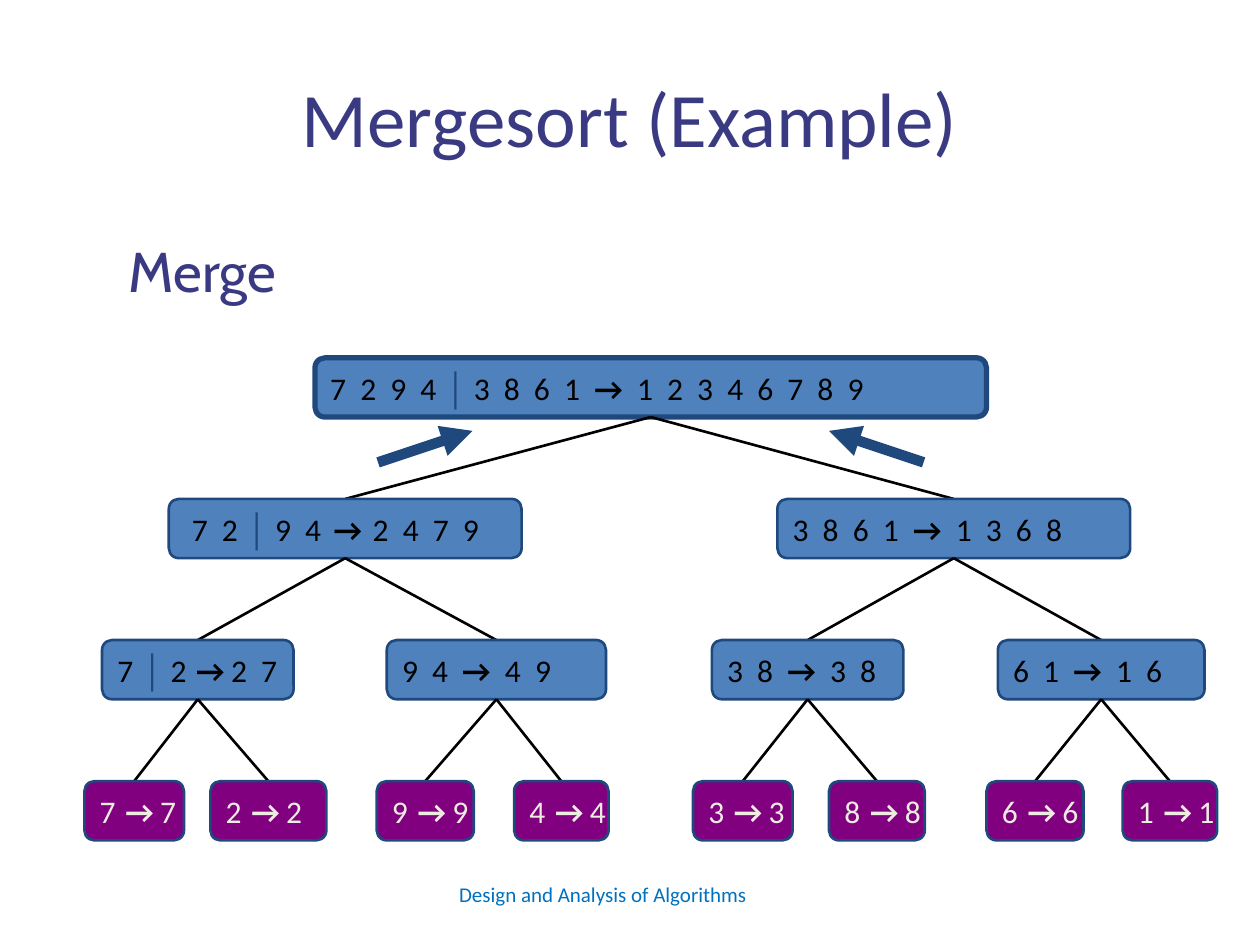
from itertools import groupby

from lxml import etree
from pptx import Presentation
from pptx.dml.color import RGBColor
from pptx.enum import shapes, text
from pptx.oxml.ns import qn
from pptx.util import Inches, Pt

NAVY, BLUE, EDGE, PURPLE = "3A3A82", "4F81BD", "1F497D", "800080"
BLACK, CREAM, SKY = "000000", "EEECE1", "0070C0"
HIGH, STEP = 0.47, 1.12
TIGHT, MID, WIDE = -0.5, 1, 2  # letter spacing around an arrow, in points

# Each node: words, left, width, spacing around the arrow
LEVELS = [
    [("7 2 9 4 │ 3 8 6 1 → 1 2 3 4 6 7 8 9", 2.5, 5.33, WIDE)],
    [("7 2 │ 9 4 → 2 4 7 9", 1.34, 2.8, MID),
     ("3 8 6 1 → 1 3 6 8", 6.17, 2.8, WIDE)],
    [("7 │ 2 → 2 7", 0.81, 1.52, TIGHT), ("9 4 → 4 9", 3.07, 1.74, WIDE),
     ("3 8 → 3 8", 5.65, 1.52, WIDE), ("6 1 → 1 6", 7.92, 1.64, WIDE)],
    [(f"{num} → {num}", left, wide, TIGHT) for num, left, wide in (
        (7, 0.67, 0.79), (2, 1.67, 0.92), (9, 2.99, 0.77), (4, 4.08, 0.75),
        (3, 5.5, 0.79), (8, 6.58, 0.76), (6, 7.83, 0.77), (1, 8.91, 0.75))],
]


def color(code):
    return RGBColor.from_string(code)


def style(font, size, code, name="Calibri"):
    font.size, font.name = Pt(size), name
    font.color.rgb = color(code)


def place(shape, box):
    shape.left, shape.top, shape.width, shape.height = map(Inches, box)


def add_line(slide, start, end, code=BLACK, width=1.5, arrow=False):
    line = slide.shapes.add_connector(
        shapes.MSO_CONNECTOR.STRAIGHT, *map(Inches, (*start, *end)))
    line.line.color.rgb = color(code)
    line.line.width = Pt(width)
    if arrow:
        tail = etree.SubElement(line.line._get_or_add_ln(), qn("a:tailEnd"))
        tail.set("type", "triangle")
    etree.SubElement(line._element.spPr, qn("a:effectLst"))


def add_words(para, words, ink, gap):
    """Write spaced digits, with the bar and the arrow as bold runs."""
    style(para.font, 18, ink)
    marks = {"│": -1, "→": gap}
    for mark, group in groupby(words.split(),
                               lambda word: word if word in marks else ""):
        run = para.add_run()
        run.text = f" {mark} " if mark else " ".join(group)
        space = marks.get(mark, 2)
        run._r.get_or_add_rPr().set("spc", str(int(space * 100)))
        if mark:
            run.font.bold = True
        if mark == "│":
            style(run.font, 18, EDGE, "Arial")


def add_node(slide, box, words, gap, fill, ink, width, inset):
    node = slide.shapes.add_shape(
        shapes.MSO_SHAPE.ROUNDED_RECTANGLE, *map(Inches, box))
    node.shadow.inherit = False
    node.fill.solid()
    node.fill.fore_color.rgb = color(fill)
    node.line.color.rgb = color(EDGE)
    node.line.width = Pt(width)
    frame = node.text_frame
    frame.word_wrap = False
    frame.margin_left = Inches(inset)
    frame.vertical_anchor = text.MSO_ANCHOR.MIDDLE
    para = frame.paragraphs[0]
    para.alignment = text.PP_ALIGN.LEFT
    add_words(para, words, ink, gap)


def add_tree(slide, top):
    """Draw the levels; node i hangs from node i // 2 one level above."""
    above = []
    for depth, level in enumerate(LEVELS):
        y = top + depth * STEP
        mids = [left + wide / 2 for _, left, wide, _ in level]
        for i, mid in enumerate(mids if above else []):
            add_line(slide, (above[i // 2], y - STEP + HIGH), (mid, y))
        fill, ink = (PURPLE, CREAM) if depth == 3 else (BLUE, BLACK)
        for words, left, wide, gap in level:
            add_node(slide, (left, y, wide, HIGH), words, gap, fill, ink,
                     width=1.5 if depth else 3,
                     inset=0.16 if gap == MID else 0.1)
        above = mids
    for low, high in ((3, 3.75), (7.33, 6.58)):
        add_line(slide, (low, top + 0.83), (high, top + 0.58), EDGE, 6, True)


def add_heads(slide):
    title, body = slide.placeholders
    place(title, (0.5, 0.3, 9, 1.25))
    title.text_frame.text = "Mergesort (Example)"
    title.text_frame.vertical_anchor = text.MSO_ANCHOR.MIDDLE
    head = title.text_frame.paragraphs[0]
    head.alignment = text.PP_ALIGN.CENTER
    style(head.font, 44, NAVY)

    place(body, (0.92, 1.83, 8.5, 0.75))
    body.text_frame.text = "Merge"
    para = body.text_frame.paragraphs[0]
    props = para._p.get_or_add_pPr()
    props.set("marL", "0")
    props.set("indent", "0")
    etree.SubElement(props, qn("a:buNone"))
    para.space_before = Pt(0)
    style(para.font, 32, NAVY, "Cabin")


def add_foot(slide, box):
    frame = slide.shapes.add_textbox(*map(Inches, box)).text_frame
    frame.word_wrap = True
    frame.vertical_anchor = text.MSO_ANCHOR.MIDDLE
    frame.text = "Design and Analysis of Algorithms"
    para = frame.paragraphs[0]
    para.alignment = text.PP_ALIGN.CENTER
    style(para.font, 12, SKY)


def main():
    deck = Presentation()
    deck.slide_width, deck.slide_height = Inches(10), Inches(7.5)
    slide = deck.slides.add_slide(deck.slide_layouts[1])
    add_heads(slide)
    add_tree(slide, 2.84)
    add_foot(slide, (3.2, 6.9, 3.17, 0.4))
    deck.save("out.pptx")


if __name__ == "__main__":
    main()
